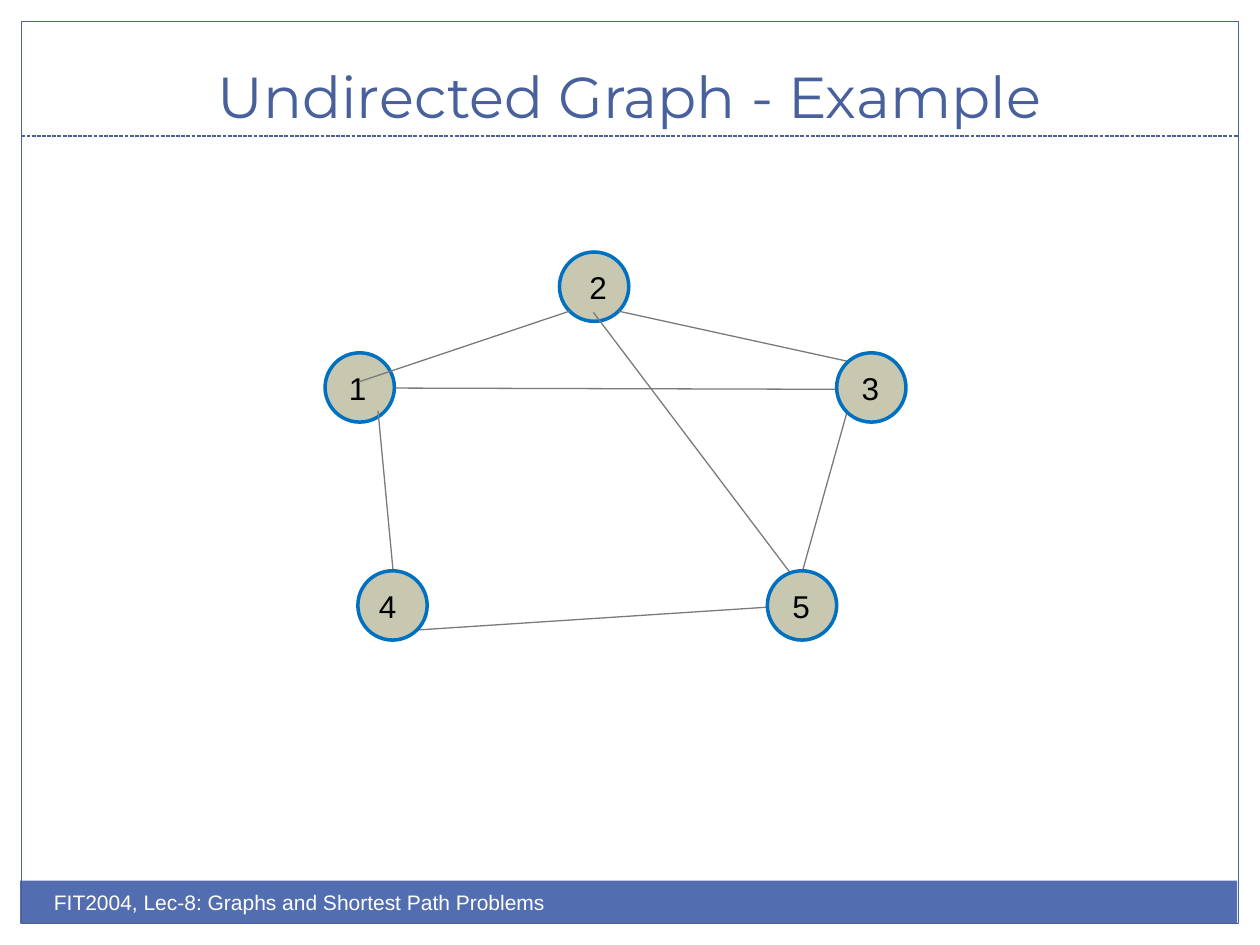
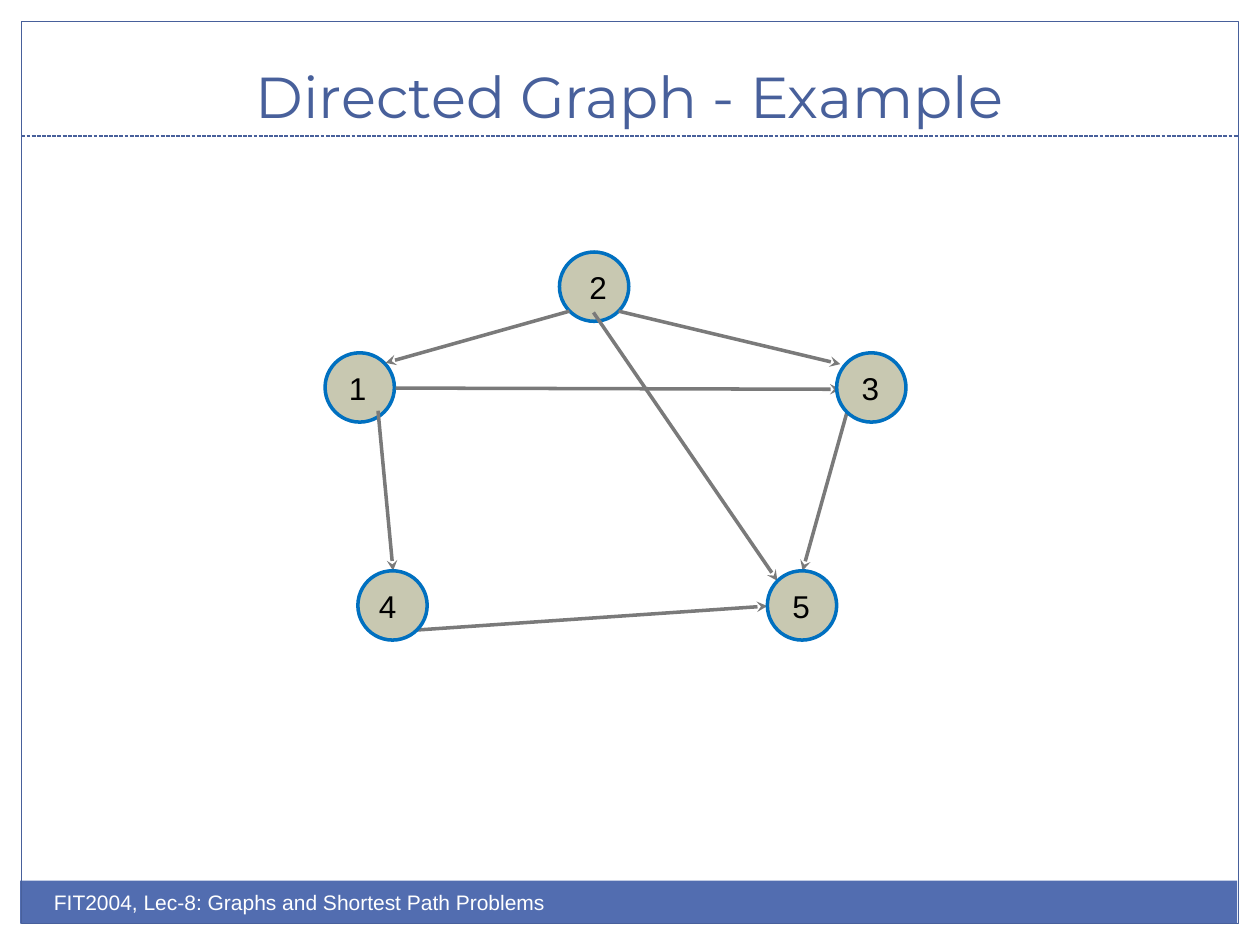
from lxml import etree
from pptx import Presentation
from pptx.dml.color import RGBColor
from pptx.enum.dml import MSO_LINE
from pptx.enum.shapes import MSO_CONNECTOR, MSO_SHAPE
from pptx.enum.text import MSO_ANCHOR, PP_ALIGN
from pptx.oxml.ns import qn
from pptx.util import Inches, Pt

# Colours and fonts
BLUE = RGBColor(0x48, 0x60, 0x9B)
BAND = RGBColor(0x52, 0x6D, 0xB0)
WHITE = RGBColor(0xFF, 0xFF, 0xFF)
BLACK = RGBColor(0, 0, 0)
NODE_FILL = RGBColor(0xC8, 0xC8, 0xB1)
NODE_LINE = RGBColor(0x00, 0x70, 0xC0)
EDGE = RGBColor(0x7A, 0x7A, 0x7A)
TITLE_FONT, BODY_FONT = "Montserrat", "Arial"

FOOTER = "FIT2004, Lec-8: Graphs and Shortest Path Problems"
NODE_SIZE = 0.55

# Node: left, top, left of its label box
NODES = {
    "1": (2.58, 2.8, 2.67),
    "2": (4.44, 2, 4.58),
    "3": (6.64, 2.8, 6.74),
    "4": (2.84, 4.53, 2.91),
    "5": (6.09, 4.53, 6.19),
}

# Edges: start and end points
SHARED_EDGES = [
    ((3, 3.26), (3.12, 4.53)),     # 1 to 4
    ((3.14, 3.08), (6.67, 3.09)),  # 1 to 3
    ((6.72, 3.28), (6.37, 4.53)),  # 3 to 5
]
UNDIRECTED_EDGES = SHARED_EDGES + [
    ((4.52, 2.47), (2.85, 3.03)),  # 2 to 1
    ((4.91, 2.47), (6.83, 2.89)),  # 2 to 3
    ((4.71, 2.48), (6.32, 4.61)),  # 2 to 5
    ((3.31, 5), (6.23, 4.81)),     # 4 to 5
]
DIRECTED_EDGES = SHARED_EDGES + [
    ((4.52, 2.47), (3.06, 2.88)),
    ((4.91, 2.47), (6.67, 2.89)),
    ((4.71, 2.48), (6.17, 4.61)),
    ((3.31, 5), (6.09, 4.81)),
]


def style_text(tf, text, size, font, color, align=PP_ALIGN.LEFT):
    tf.text = text
    p = tf.paragraphs[0]
    p.alignment = align
    r = p.runs[0]
    r.font.size, r.font.name = Pt(size), font
    r.font.color.rgb = color


def add_shape(shapes, kind, x, y, w, h, fill=None, line=None, width=0.75):
    sp = shapes.add_shape(kind, Inches(x), Inches(y), Inches(w), Inches(h))
    sp.shadow.inherit = False
    if fill is None:
        sp.fill.background()
    else:
        sp.fill.solid()
        sp.fill.fore_color.rgb = fill
    if line is None:
        sp.line.fill.background()
    else:
        sp.line.color.rgb = line
        sp.line.width = Pt(width)


def add_text(shapes, x, y, w, text, size, color, wrap=True):
    tb = shapes.add_textbox(Inches(x), Inches(y), Inches(w), Inches(0.4))
    tb.text_frame.word_wrap = wrap
    style_text(tb.text_frame, text, size, BODY_FONT, color)


def add_line(s, start, end, color, width=0.75, dash=None, arrow=False):
    cx = s.shapes.add_connector(MSO_CONNECTOR.STRAIGHT,
                                *map(Inches, start + end))
    cx.line.color.rgb = color
    cx.line.width = Pt(width)
    if dash:
        cx.line.dash_style = dash
    if arrow:
        etree.SubElement(cx.line._get_or_add_ln(), qn("a:tailEnd"),
                         type="stealth")
    etree.SubElement(cx._element.spPr, qn("a:effectLst"))


def add_node(s, name):
    x, y, label_x = NODES[name]
    shapes = s.shapes.add_group_shape().shapes
    add_shape(shapes, MSO_SHAPE.OVAL, x, y, NODE_SIZE, NODE_SIZE,
              NODE_FILL, NODE_LINE, 2)
    add_text(shapes, label_x, y + 0.08, 0.34, name, 18, BLACK, wrap=False)


def add_framed_slide(prs, title):
    s = prs.slides.add_slide(prs.slide_layouts[5])
    # Footer band, frame and rule under the title
    add_shape(s.shapes, MSO_SHAPE.RECTANGLE, 0.16, 6.99, 9.66, 0.34, BAND)
    add_shape(s.shapes, MSO_SHAPE.RECTANGLE, 0.17, 0.17, 9.66, 7.16, line=BLUE)
    add_line(s, (0.17, 1.08), (9.83, 1.08), BLUE, dash=MSO_LINE.SQUARE_DOT)
    add_text(s.shapes, 0.33, 7.01, 5, FOOTER, 12, WHITE)
    # Title
    sp = s.shapes.title
    sp.left, sp.top = Inches(0.33), Inches(0.25)
    sp.width, sp.height = Inches(9.33), Inches(0.83)
    sp.text_frame.vertical_anchor = MSO_ANCHOR.BOTTOM
    style_text(sp.text_frame, title, 33, TITLE_FONT, BLUE, PP_ALIGN.CENTER)
    return s


def add_graph(s, edges, width, arrow):
    # Edges start on top of nodes 1 and 2 and run beneath the others
    for name in "12":
        add_node(s, name)
    for start, end in edges:
        add_line(s, start, end, EDGE, width, arrow=arrow)
    for name in "345":
        add_node(s, name)


def main():
    prs = Presentation()
    prs.slide_width, prs.slide_height = Inches(10), Inches(7.5)

    s = add_framed_slide(prs, "Undirected Graph - Example")
    add_graph(s, UNDIRECTED_EDGES, 0.75, arrow=False)

    s = add_framed_slide(prs, "Directed Graph - Example")
    add_graph(s, DIRECTED_EDGES, 2, arrow=True)

    prs.save("out.pptx")


if __name__ == "__main__":
    main()
